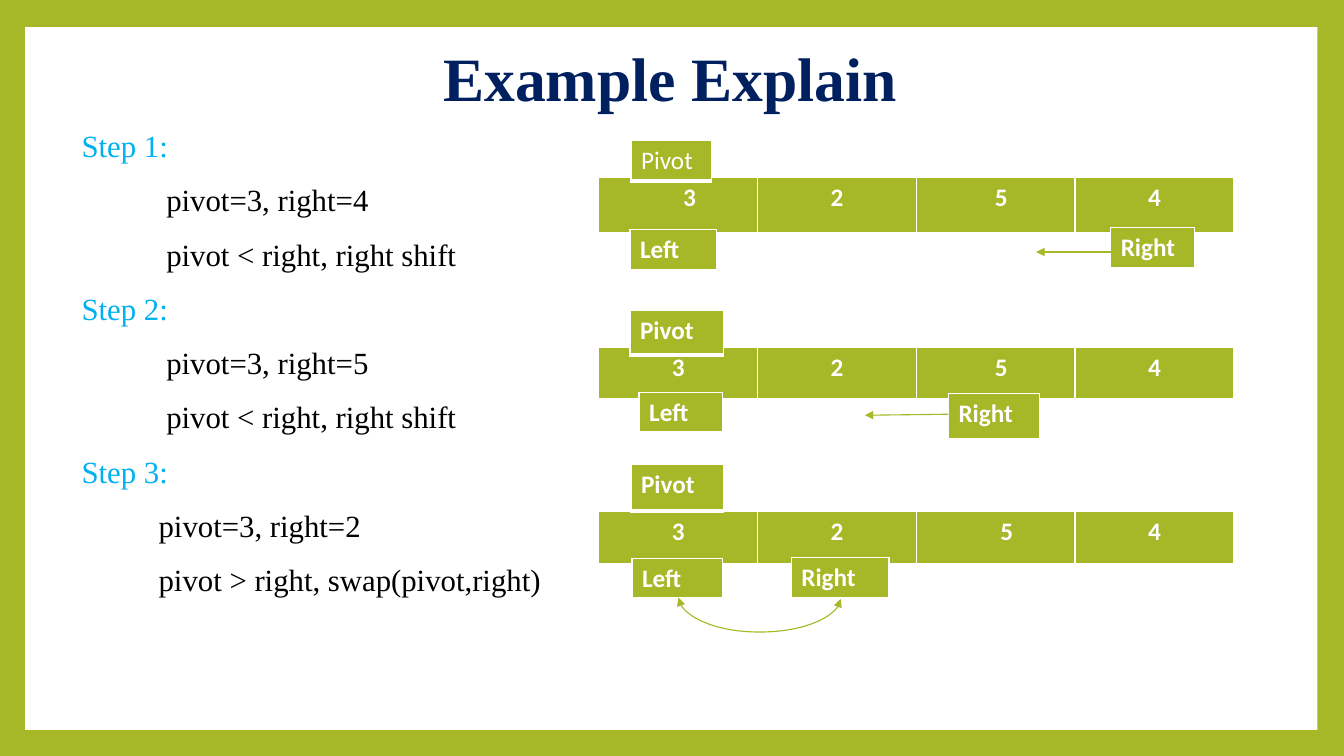
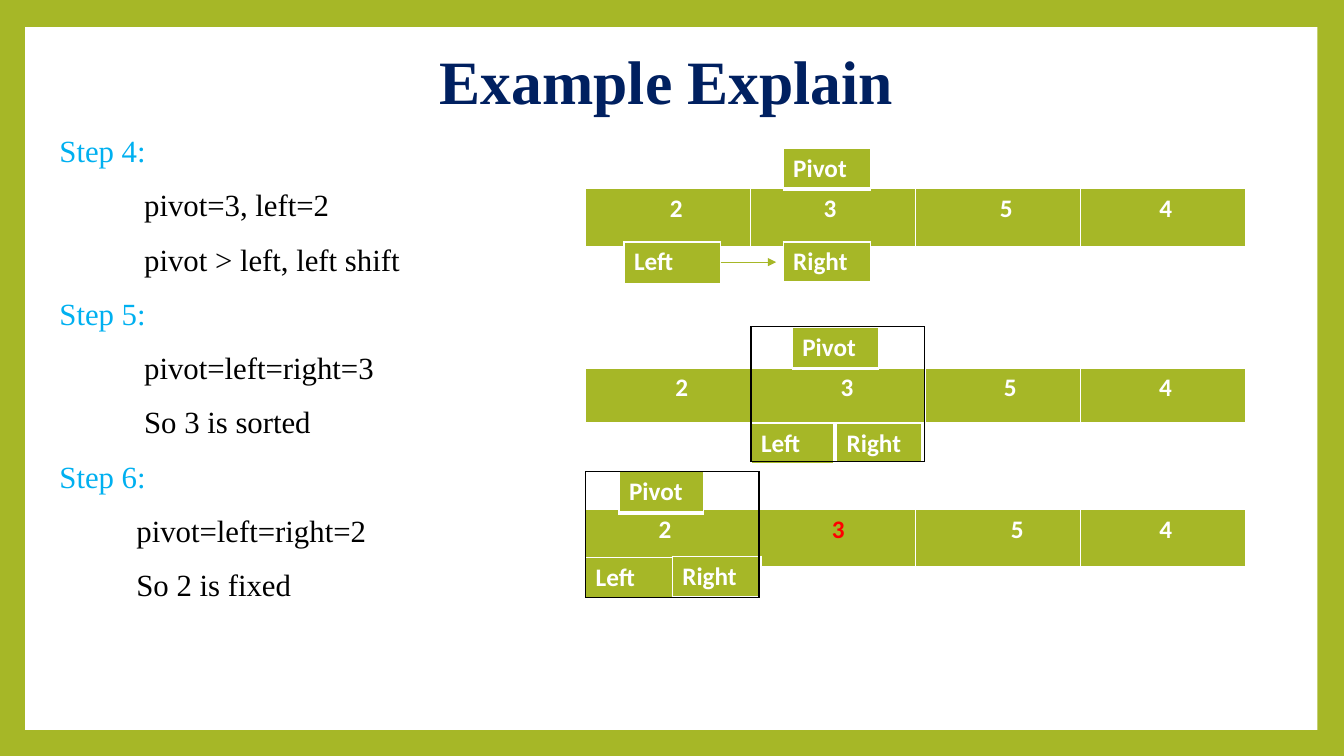
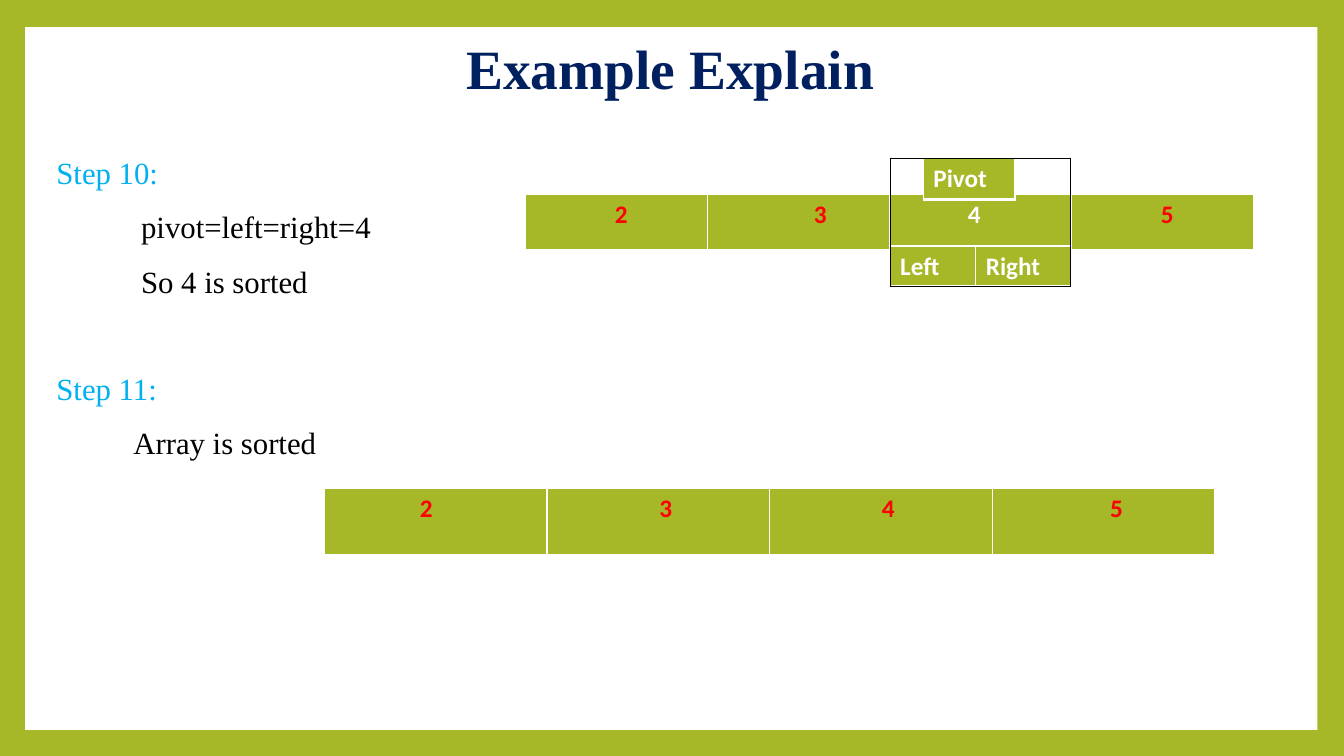
from lxml import etree
from pptx import Presentation
from pptx.dml.color import RGBColor
from pptx.enum import shapes, text
from pptx.oxml import ns
from pptx.util import Pt

GREEN = RGBColor(0xA6, 0xB7, 0x27)
WHITE = RGBColor(0xFF, 0xFF, 0xFF)
BLACK = RGBColor(0x00, 0x00, 0x00)
NAVY = RGBColor(0x00, 0x20, 0x60)
SKY = RGBColor(0x00, 0xB0, 0xF0)
RED = RGBColor(0xFF, 0x00, 0x00)
SERIF, SANS = "Times New Roman", "Calibri"
LINE_GAP = 15
BLANK_LINE = 37.75

# title: (left, top, width, height, size)
# steps: (heading, space before, indent, lines)
# arrays: (left, top, height, column widths, digits, text offsets, red digits)
# tags: (label, left, top, width, height)
# frames: (left, top, width, height)
# arrows: (from x, from y, to x, to y)
PAGES = [
    dict(
        title=(90, 27.4, 777.6, 61.9, 44),
        body=(47.5, 90, 874, 413.3),
        steps=[
            ("Step 1:", 0, 60.5, ["pivot=3, right=4", "pivot < right, right shift"]),
            ("Step 2:", LINE_GAP, 60.5, ["pivot=3, right=5", "pivot < right, right shift"]),
            ("Step 3:", LINE_GAP, 55, ["pivot=3, right=2", "pivot > right, swap(pivot,right)"]),
        ],
        arrays=[
            (427.7, 126.7, 40.3, [113.4] * 4, "3254", (53, 45, 49, 45), ""),
            (427.7, 248.4, 37.4, [113.4] * 4, "3254", (45, 45, 49, 45), ""),
            (427.7, 365, 38.2, [113.4] * 4, "3254", (45, 45, 53, 45), ""),
        ],
        tags=[
            ("Pivot", 450.7, 100.1, 57.6, 29.2),
            ("Left", 450, 164.2, 61.9, 29.2),
            ("Right", 793.4, 162.7, 59.8, 29.2),
            ("Pivot", 450, 221.8, 67, 31.7),
            ("Left", 456.5, 280.1, 59.8, 29.2),
            ("Right", 677.5, 280.8, 64.8, 33.1),
            ("Pivot", 450.7, 331.9, 66.2, 33.1),
            ("Left", 451.4, 398.9, 64.8, 29.2),
            ("Right", 565.2, 398.2, 69.8, 29.5),
        ],
        frames=[],
        arrows=[(795.6, 180, 740.2, 180), (677.5, 295.9, 617.8, 296.6)],
    ),
    dict(
        title=(85, 28.1, 782.6, 64.8, 44),
        body=(31.7, 93.6, 907.2, 419),
        steps=[
            ("Step 4:", 0, 60.5, ["pivot=3, left=2", "pivot > left, left shift"]),
            ("Step 5:", LINE_GAP, 60.5, ["pivot=left=right=3", "So 3 is sorted"]),
            ("Step 6:", LINE_GAP, 55, ["pivot=left=right=2", "So 2 is fixed"]),
        ],
        arrays=[
            (418.3, 134.6, 42.5, [117.9] * 4, "2354", (53, 45, 53, 49), ""),
            (418.3, 262.8, 39.6, [118, 124.6, 111, 118], "2354", (57, 57, 49, 49), ""),
            (418.3, 363.6, 41.8, [123.8, 111.8, 118, 118], "2354", (45, 45, 61, 49), "3"),
        ],
        tags=[
            ("Pivot", 559.4, 105.8, 62.6, 29.2),
            ("Left", 445.7, 172.8, 69.1, 31),
            ("Right", 559.4, 172.8, 62.6, 29.2),
            ("Right", 597.6, 302.4, 60.5, 29.2),
            ("Left", 536.4, 302.4, 59, 29.5),
            ("Pivot", 565.9, 234, 61.9, 29.2),
            ("Right", 480.2, 397.4, 63.4, 29.5),
            ("Left", 418.3, 398.2, 61.9, 29.2),
            ("Pivot", 442.1, 337, 60.5, 29.2),
        ],
        frames=[(536.4, 233.3, 123.8, 96.5), (418.3, 337, 123.8, 90)],
        arrows=[(514.8, 187.2, 554.4, 187.2)],
    ),
    dict(
        title=(90, 25.2, 777.6, 51.1, 39.6),
        body=(29.5, 109.4, 900.7, 396),
        steps=[
            ("Step 10:", 0, 60.5, ["pivot=left=right=4", "So 4 is sorted"]),
            ("Step 11:", LINE_GAP + BLANK_LINE, 55, ["Array is sorted"]),
        ],
        arrays=[
            (231.8, 349.2, 48.2, [159] * 4, "2345", (61, 73, 73, 77), "2345"),
            (375.1, 139, 40.3, [130] * 4, "2345", (57, 69, 49, 57), "235"),
        ],
        tags=[
            ("Right", 697, 175.7, 67.7, 29.5),
            ("Left", 635.8, 175.7, 61.2, 29.2),
            ("Pivot", 659.5, 113, 65.5, 29.5),
        ],
        frames=[(635.8, 113, 128.9, 91.4)],
        arrows=[],
    ),
]


def add_cells(page, left, top, height, widths, labels, offsets, red="", framed=False):
    """One-row table: green cells with white edges, or an unfilled black frame."""
    frame = page.shapes.add_table(1, len(widths), Pt(left), Pt(top), Pt(sum(widths)), Pt(height))
    table = frame.table
    table.first_row = table.horz_banding = False
    table.rows[0].height = Pt(height)
    for column, width in zip(table.columns, widths):
        column.width = Pt(width)
    for cell, label, offset in zip(table.rows[0].cells, labels, offsets):
        props = cell._tc.get_or_add_tcPr()
        for side, weight in (("L", 1), ("R", 1), ("T", 1), ("B", 1 if framed else 3)):
            edge = etree.SubElement(props, ns.qn(f"a:ln{side}"), w=str(Pt(weight)))
            paint = etree.SubElement(edge, ns.qn("a:solidFill"))
            etree.SubElement(paint, ns.qn("a:srgbClr"), val=str(BLACK if framed else WHITE))
        if framed:
            cell.fill.background()
            continue
        cell.fill.solid()
        cell.fill.fore_color.rgb = GREEN
        cell.margin_left = Pt(7.2 + offset)
        para = cell.text_frame.paragraphs[0]
        para.text = label
        para.font.name, para.font.size, para.font.bold = SANS, Pt(18), True
        para.font.color.rgb = RED if label in red else WHITE
    return table


def style_arrow(arrow, ends):
    arrow.line.color.rgb = GREEN
    arrow.line.width = Pt(0.79)
    for end in ends:
        etree.SubElement(arrow.line._get_or_add_ln(), ns.qn(f"a:{end}"), type="triangle")
    etree.SubElement(arrow._element.spPr, ns.qn("a:effectLst"))


deck = Presentation()
deck.slide_width, deck.slide_height = Pt(960), Pt(540)
backdrop = deck.slide_master.background.fill
backdrop.solid()
backdrop.fore_color.rgb = GREEN

for content in PAGES:
    page = deck.slides.add_slide(deck.slide_layouts[6])
    panel = page.shapes.add_shape(
        shapes.MSO_SHAPE.RECTANGLE, Pt(18), Pt(19.4), Pt(923), Pt(502))
    panel.shadow.inherit = False
    panel.fill.solid()
    panel.fill.fore_color.rgb = WHITE
    panel.line.fill.background()

    *place, size = content["title"]
    title = page.shapes.add_textbox(*map(Pt, place)).text_frame
    title.word_wrap = True
    title.vertical_anchor = text.MSO_ANCHOR.MIDDLE
    para = title.paragraphs[0]
    para.text = "Example Explain"
    para.alignment = text.PP_ALIGN.CENTER
    para.line_spacing = 0.9
    para.font.name, para.font.size, para.font.bold = SERIF, Pt(size), True
    para.font.color.rgb = NAVY

    body = page.shapes.add_textbox(*map(Pt, content["body"])).text_frame
    body.word_wrap = True
    body.margin_left = Pt(10.8)
    para = body.paragraphs[0]
    for heading, space, indent, lines in content["steps"]:
        rows = [(heading, space, 0, SKY)]
        rows += [(line, LINE_GAP, indent, BLACK) for line in lines]
        for line, before, margin, colour in rows:
            if para.text:
                para = body.add_paragraph()
            para.text = line
            para.line_spacing = 0.9
            para.space_before = Pt(before)
            para._p.get_or_add_pPr().set("marL", str(Pt(margin)))
            para.font.name, para.font.size = SERIF, Pt(22)
            para.font.color.rgb = colour

    for left, top, height, widths, digits, offsets, red in content["arrays"]:
        add_cells(page, left, top, height, widths, digits, offsets, red)
    tags = [add_cells(page, left, top, height, [width], [label], [0])
            for label, left, top, width, height in content["tags"]]
    for left, top, width, height in content["frames"]:
        add_cells(page, left, top, height, [width], [""], [0], framed=True)
    for ends in content["arrows"]:
        arrow = page.shapes.add_connector(shapes.MSO_CONNECTOR.STRAIGHT, *map(Pt, ends))
        style_arrow(arrow, ["tailEnd"])

    if page is deck.slides[0]:
        pass
    if content is PAGES[0]:
        tags[0].cell(0, 0).text_frame.paragraphs[0].font.bold = False
        # The swap arrow is a thin upright curve turned on its side
        swap = page.shapes.add_connector(
            shapes.MSO_CONNECTOR.CURVE, Pt(542), Pt(369.4), Pt(542.96), Pt(485.3))
        turn = swap._element.spPr.find(ns.qn("a:xfrm"))
        turn.set("rot", str(270 * 60000))
        turn.set("flipH", "1")
        shape_kind = swap._element.spPr.find(ns.qn("a:prstGeom"))
        guides = shape_kind.get_or_add_avLst()
        etree.SubElement(guides, ns.qn("a:gd"), name="adj1", fmla="val 2554300")
        style_arrow(swap, ["headEnd", "tailEnd"])

deck.save("out.pptx")
